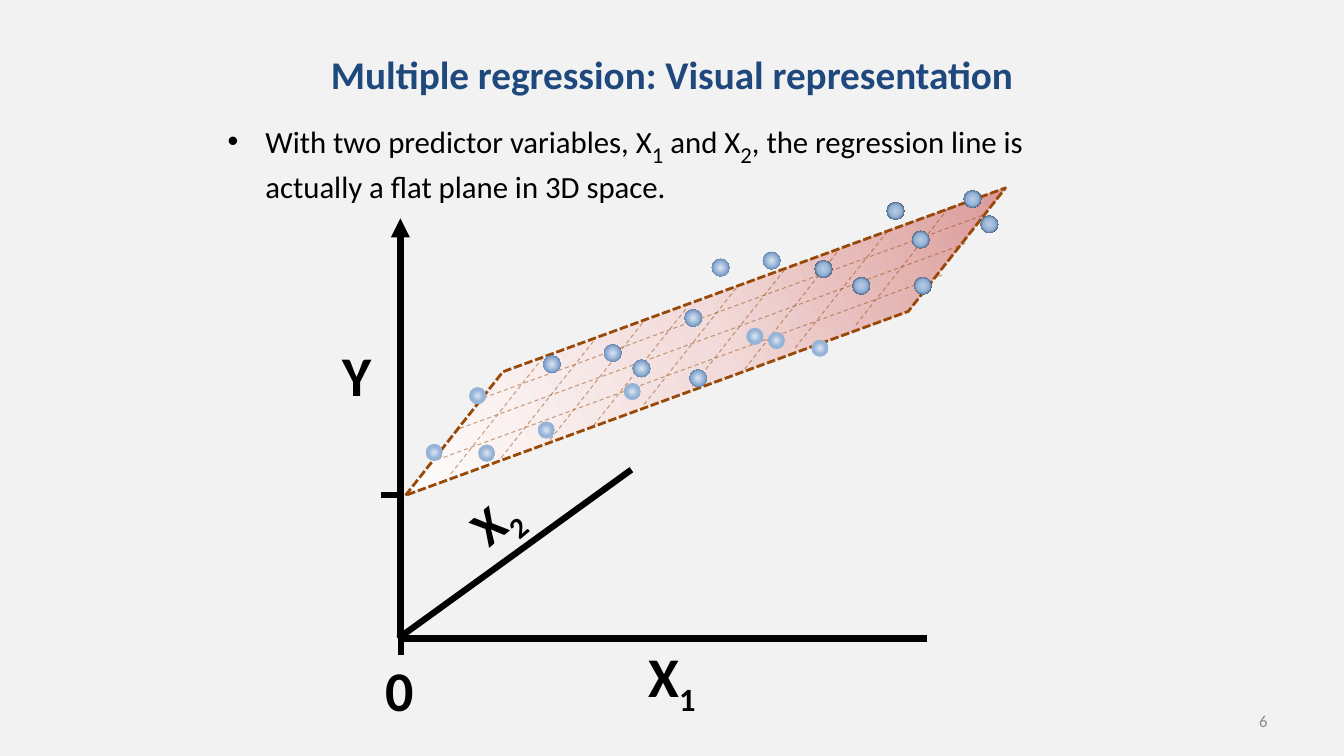
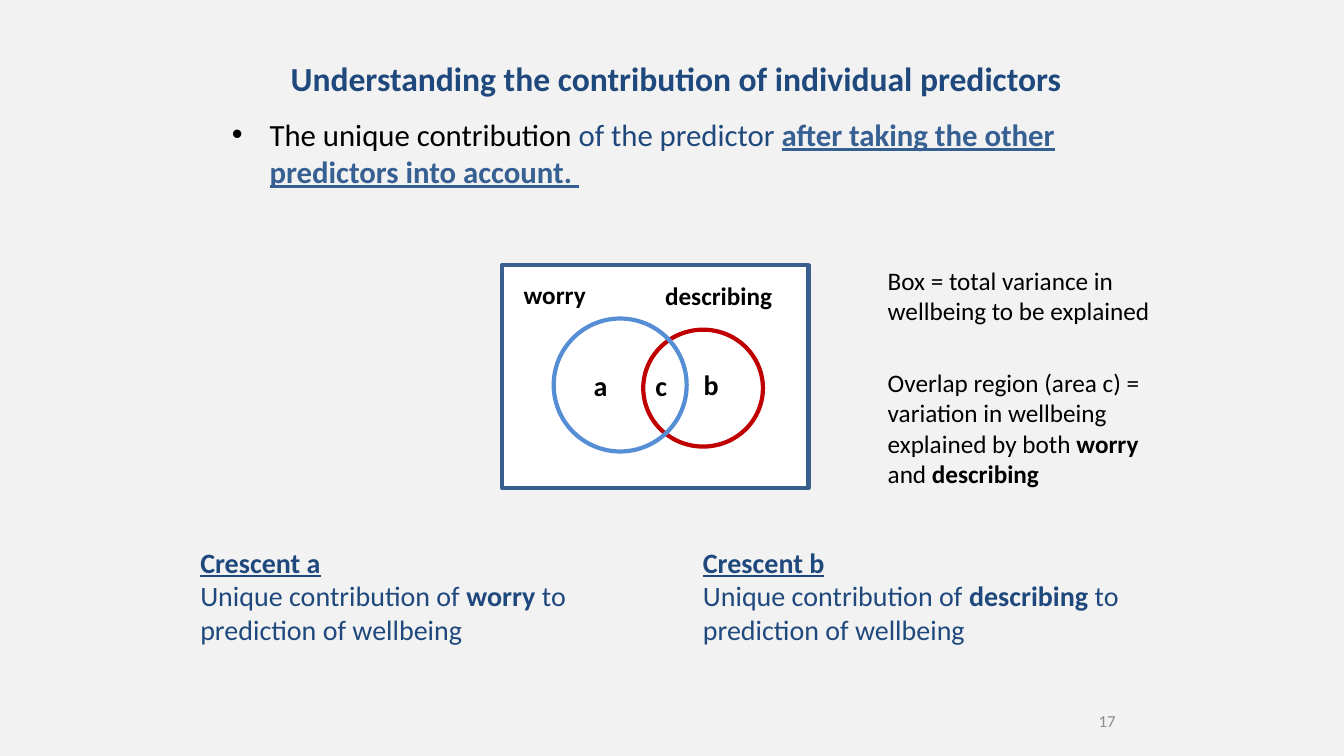
from typing import NamedTuple

from lxml import etree
from pptx import Presentation
from pptx.dml.color import RGBColor
from pptx.enum.dml import MSO_LINE
from pptx.enum.shapes import MSO_CONNECTOR, MSO_SHAPE
from pptx.enum.text import MSO_ANCHOR as Anchor, PP_ALIGN as Align
from pptx.oxml import parse_xml
from pptx.oxml.ns import nsdecls, qn
from pptx.util import Pt

FONT = "Calibri"
COLORS = {
    "background": "F2F2F2",
    "black": "000000",
    "white": "FFFFFF",
    "navy": "1F497D",
    "emphasis": "376092",
    "frame": "3A5F8C",
    "number": "8C8C8C",
    "mesh": "984807",
    "worry": "558ED5",
    "describing": "C00000",
}
PLANE_STOPS = ("FFFFFF", "F2DCDB", "D99694")
DOT_STOPS = {
    "pale": ("DCE6F2", "95B3D7", "95B3D7"),
    "medium": ("DCE6F2", "95B3D7", "376092"),
    "dark": ("B9CDE5", "95B3D7", "0F243E"),
}
DOT_SIZE = 12.4
BOLD = {"bold": True}
SUBSCRIPT = {"baseline": -25}

# Offsets in points from the corner of the plot
DOTS = {
    "pale": [(135, 176.5), (141.5, 217.5), (245.5, 173.5), (184, 201),
             (104, 217), (348.5, 137), (333, 134), (379.5, 142.5)],
    "medium": [(292.5, 164), (289, 121), (231.5, 146), (188, 154),
               (345, 80), (252, 157), (308.5, 85)],
    "dark": [(409, 98), (453, 98), (382, 86), (488.5, 36),
             (433.5, 44.5), (451.5, 65), (500.5, 54)],
}
# Each mesh direction: its vector, then the points where its lines start
MESH = [
    ((361, -132), [(140.5, 186), (128.5, 206), (112, 228.5)]),
    ((66.5, -84), [(122, 238.5), (158, 227), (193, 214), (224, 204), (260, 189),
                   (294.5, 176), (332, 163.5), (368, 148.5), (411.5, 132)]),
]


class Box(NamedTuple):
    left: float
    top: float
    width: float
    height: float

    def inside(self, x, y, width, height):
        """Return a box whose offset is measured from this one."""
        return Box(self.left + x, self.top + y, width, height)

    def points(self):
        return [Pt(length) for length in self]


def rgb(name):
    return RGBColor.from_string(COLORS[name])


def add_run(paragraph, text, size, color="black", bold=False, underline=False,
            baseline=0):
    run = paragraph.add_run()
    run.text = text
    font = run.font
    font.name, font.size = FONT, Pt(size)
    font.bold, font.underline = bold, underline
    font.color.rgb = rgb(color)
    if baseline:
        run._r.get_or_add_rPr().set("baseline", str(baseline * 1000))


def add_text(slide, box, *paragraphs, align=Align.LEFT, anchor=Anchor.TOP,
             wrap=True, bullet=False, rotation=0, **style):
    """Each paragraph is a list of runs: a string, or a string with its own style."""
    shape = slide.shapes.add_textbox(*box.points())
    shape.rotation = rotation
    frame = shape.text_frame
    frame.word_wrap, frame.vertical_anchor = wrap, anchor
    for index, runs in enumerate(paragraphs):
        paragraph = frame.paragraphs[0] if index == 0 else frame.add_paragraph()
        paragraph.alignment = align
        if bullet:
            add_bullet(paragraph, style["size"])
        for run in runs:
            text, own_style = (run, {}) if isinstance(run, str) else run
            add_run(paragraph, text, **{**style, **own_style})


def add_bullet(paragraph, size, indent=27):
    paragraph.space_before = Pt(size * 0.2)
    properties = paragraph._p.get_or_add_pPr()
    properties.set("marL", str(Pt(indent)))
    properties.set("indent", str(-Pt(indent)))
    etree.SubElement(properties, qn("a:buFont")).set("typeface", "Arial")
    etree.SubElement(properties, qn("a:buChar")).set("char", "•")


def add_outlined(slide, preset, box, fill=None, line=None, width=3):
    shape = slide.shapes.add_shape(preset, *box.points())
    shape.shadow.inherit = False
    if fill:
        shape.fill.solid()
        shape.fill.fore_color.rgb = rgb(fill)
    else:
        shape.fill.background()
    if line:
        shape.line.color.rgb = rgb(line)
        shape.line.width = Pt(width)
    else:
        shape.line.fill.background()
    return shape


def set_gradient(shape, stops, radial=False):
    """Spread the stops evenly, from left to right or from the centre outwards."""
    step = 100000 // (len(stops) - 1)
    marks = "".join(f'<a:gs pos="{index * step}"><a:srgbClr val="{color}"/></a:gs>'
                    for index, color in enumerate(stops))
    if radial:
        course = ('<a:path path="circle"><a:fillToRect l="50000" t="50000" '
                  'r="50000" b="50000"/></a:path>')
    else:
        course = '<a:lin ang="0" scaled="0"/>'
    gradient = parse_xml(f'<a:gradFill {nsdecls("a")} rotWithShape="1">'
                         f'<a:gsLst>{marks}</a:gsLst>{course}</a:gradFill>')
    properties = shape._element.spPr
    properties.replace(properties.find(qn("a:noFill")), gradient)


def add_line(slide, box, start, end, color="black", width=4.5, dash=None,
             opacity=None, arrow=False):
    """Draw a line between two offsets from the corner of the box."""
    ends = [Pt(corner + offset) for point in (start, end)
            for corner, offset in zip((box.left, box.top), point)]
    connector = slide.shapes.add_connector(MSO_CONNECTOR.STRAIGHT, *ends)
    line = connector.line
    line.color.rgb = rgb(color)
    line.width = Pt(width)
    if dash:
        line.dash_style = dash
    properties = connector._element.spPr
    outline = properties.find(qn("a:ln"))
    if opacity:
        alpha = etree.SubElement(outline.find(".//" + qn("a:srgbClr")), qn("a:alpha"))
        alpha.set("val", str(opacity * 1000))
    if arrow:
        etree.SubElement(outline, qn("a:tailEnd")).set("type", "triangle")
    etree.SubElement(properties, qn("a:effectLst"))


def add_base(presentation, title, title_box, title_size, number, number_box):
    """Add a blank slide with its title and page number."""
    slide = presentation.slides.add_slide(presentation.slide_layouts[6])
    add_text(slide, title_box, [title], size=title_size, color="navy", bold=True,
             align=Align.CENTER, anchor=Anchor.MIDDLE)
    add_text(slide, number_box, [str(number)], size=12, color="number",
             align=Align.RIGHT, anchor=Anchor.MIDDLE)
    return slide


def add_axes(slide, box):
    add_line(slide, box, (84.5, 356), (251, 235.5))
    add_line(slide, box, (88.5, 356), (462.5, 356))
    add_line(slide, box, (86, 356), (86, 56), arrow=True)
    add_line(slide, box, (86.5, 368), (86.5, 356))
    add_line(slide, box, (72, 253.5), (84.5, 253.5))
    label = {"wrap": False, "bold": True}
    add_text(slide, box.inside(256, 354.5, 50.5, 55.5), ["X", ("1", SUBSCRIPT)],
             size=40, **label)
    add_text(slide, box.inside(37.5, 140, 35, 55.5), ["Y"], size=40, **label)
    add_text(slide, box.inside(68, 364.5, 35, 55.5), ["0"], size=40, **label)
    add_text(slide, box.inside(130, 245, 47, 51), ["X", ("2", SUBSCRIPT)],
             size=36, rotation=319.9, **label)


def add_plane(slide, box):
    plane = add_outlined(slide, MSO_SHAPE.FLOWCHART_DATA,
                         box.inside(65, 114.5, 478, 59), line="mesh", width=2)
    plane.rotation = 339.9
    plane.line.dash_style = MSO_LINE.SQUARE_DOT
    set_gradient(plane, PLANE_STOPS)
    for (run, rise), starts in MESH:
        for x, y in starts:
            add_line(slide, box, (x, y), (x + run, y + rise), color="mesh",
                     width=0.75, dash=MSO_LINE.DASH, opacity=50)


def add_dots(slide, box):
    for tone, places in DOTS.items():
        for x, y in places:
            dot = add_outlined(slide, MSO_SHAPE.OVAL,
                               box.inside(x, y, DOT_SIZE, DOT_SIZE))
            set_gradient(dot, DOT_STOPS[tone], radial=True)


def add_venn(slide, box):
    add_outlined(slide, MSO_SHAPE.RECTANGLE, box, "white", "frame")
    add_outlined(slide, MSO_SHAPE.OVAL, box.inside(101, 46, 85.5, 83.5),
                 "white", "describing")
    add_outlined(slide, MSO_SHAPE.OVAL, box.inside(37, 38, 95, 95), line="worry")
    for letter, x, y in [("a", 58.5, 70.5), ("b", 137, 69.5), ("c", 102.5, 70.5)]:
        add_text(slide, box.inside(x, y, 26, 32), [letter], size=20, bold=True)
    add_text(slide, box.inside(109.5, 7, 94.5, 29), ["describing"], size=18, bold=True)
    add_text(slide, box.inside(8.5, 6.5, 59, 29), ["worry"], size=18, bold=True,
             wrap=False)


def add_crescent(slide, box, letter, predictor):
    add_text(slide, box,
             [(f"Crescent {letter}", {"bold": True, "underline": True})],
             ["Unique contribution of ", (predictor, BOLD),
              " to prediction of wellbeing"],
             size=20, color="navy")


def build_plane_slide(presentation):
    slide = add_base(presentation, "Multiple regression: Visual representation",
                     Box(156, 21.5, 648, 62.5), 28, 6, Box(688.5, 500.5, 224, 29))
    large_subscript = {"size": 28, **SUBSCRIPT}
    add_text(slide, Box(155.5, 78, 648, 66),
             ["With two predictor variables, X", ("1", large_subscript),
              " and X", ("2", large_subscript),
              ", the regression line is actually a flat plane in 3D space."],
             size=22, bullet=True)
    plot = Box(200, 100, 560, 420)
    add_axes(slide, plot)
    add_plane(slide, plot)
    add_dots(slide, plot)


def build_venn_slide(presentation):
    slide = add_base(presentation,
                     "Understanding the contribution of individual predictors",
                     Box(159, 34.5, 648, 43), 24, 17, Box(764.5, 500.5, 39.5, 29))
    add_text(slide, Box(158.5, 79, 631.5, 73),
             ["The unique contribution ", ("of the predictor ", {"color": "navy"}),
              ("after taking the other predictors into account. ",
               {"color": "emphasis", "bold": True, "underline": True})],
             size=22, bullet=True)
    add_venn(slide, Box(358.5, 189.5, 219, 159))
    add_text(slide, Box(627, 186, 217, 51),
             ["Box = total variance in wellbeing to be explained"], size=18)
    add_text(slide, Box(627, 259, 217, 94.5),
             ["Overlap region (area c) = variation in wellbeing explained by both ",
              ("worry ", BOLD), "and ", ("describing", BOLD)], size=18)
    add_crescent(slide, Box(136, 386, 332, 80), "a", "worry")
    add_crescent(slide, Box(495, 386, 332, 80), "b", "describing")


def main():
    presentation = Presentation()
    presentation.slide_width, presentation.slide_height = Pt(960), Pt(540)
    background = presentation.slide_master.background.fill
    background.solid()
    background.fore_color.rgb = rgb("background")
    build_plane_slide(presentation)
    build_venn_slide(presentation)
    presentation.save("out.pptx")


if __name__ == "__main__":
    main()
